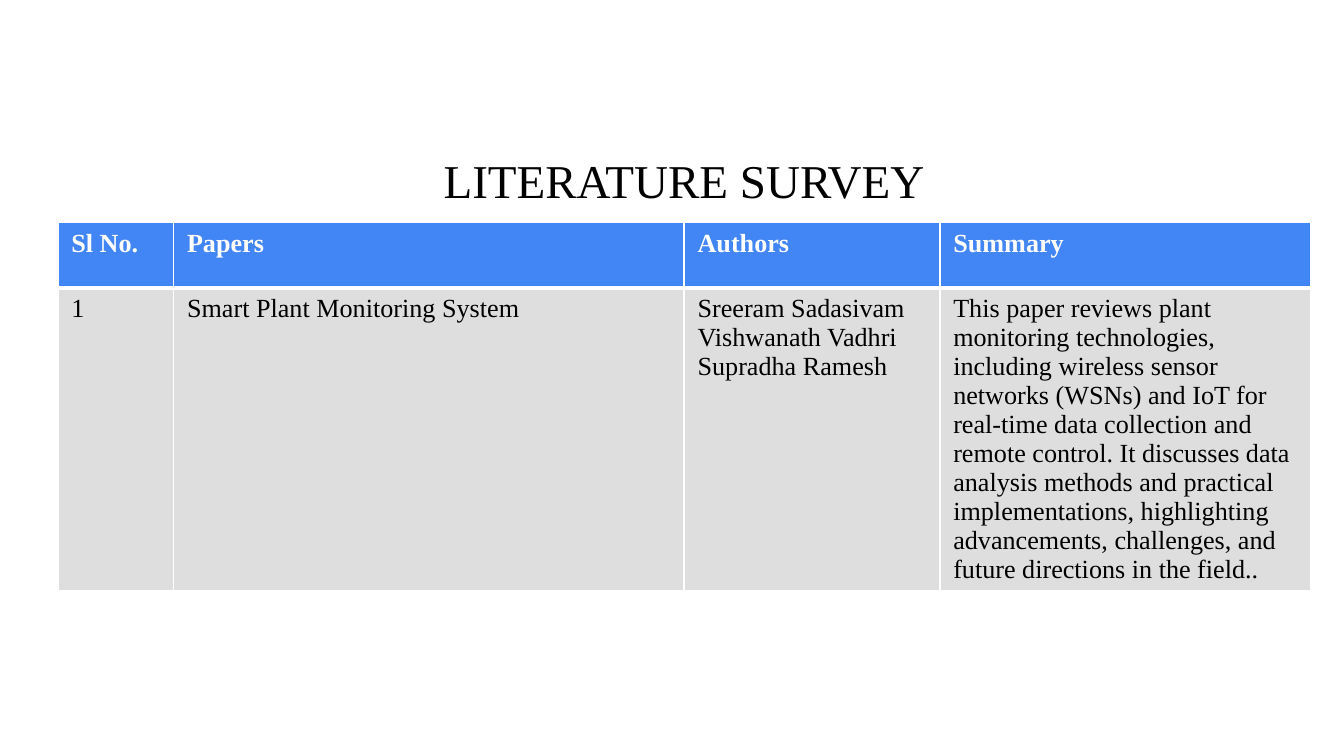
from lxml.etree import SubElement
from pptx import Presentation
from pptx.dml.color import RGBColor
from pptx.enum.text import MSO_ANCHOR, MSO_AUTO_SIZE, PP_ALIGN
from pptx.oxml.ns import qn
from pptx.util import Pt

COLORS = {"text": "000000", "white": "FFFFFF", "header": "4285F4", "body": "DEDEDE"}
LEFT, WIDTH = 31, 671
COLUMNS = [62, 273.5, 137, 198.5]
ROWS = [35.3, 161.5]
CELLS = [
    ["Sl No.", "Papers", "Authors", "Summary"],
    [
        "1",
        "Smart Plant Monitoring System",
        "Sreeram Sadasivam Vishwanath Vadhri\nSupradha Ramesh",
        "This paper reviews plant monitoring technologies, including wireless "
        "sensor networks (WSNs) and IoT for real-time data collection and remote "
        "control. It discusses data analysis methods and practical implementations, "
        "highlighting advancements, challenges, and future directions in the field..",
    ],
]


class SlideBuilder:
    """Holds the text style and the slide being filled."""

    def __init__(self, slide, font="Times New Roman"):
        self.s = slide
        self.font = font

    def format_text(self, tf, size, color, bold=False):
        for p in tf.paragraphs:
            for r in p.runs:
                r.font.name = self.font
                r.font.size = Pt(size)
                r.font.bold = bold
                r.font.color.rgb = RGBColor.from_string(COLORS[color])

    def title(self, text, top, height):
        sp = self.s.shapes.title
        sp.left, sp.top, sp.width, sp.height = map(Pt, (LEFT, top, WIDTH, height))
        tf = sp.text_frame
        tf.text = text
        tf.auto_size = MSO_AUTO_SIZE.NONE
        tf.vertical_anchor = MSO_ANCHOR.MIDDLE
        tf.margin_left = tf.margin_right = tf.margin_top = tf.margin_bottom = Pt(7.2)
        tf.paragraphs[0].alignment = PP_ALIGN.CENTER
        self.format_text(tf, 25.2, "text")

    def borders(self, cell, **widths):
        """Draw white borders; widths are in points, keyed by side L, R, T, B."""
        tcPr = cell._tc.get_or_add_tcPr()
        for side, width in widths.items():
            ln = SubElement(tcPr, qn(f"a:ln{side}"), w=str(Pt(width)))
            fill = SubElement(ln, qn("a:solidFill"))
            SubElement(fill, qn("a:srgbClr"), val=COLORS["white"])

    def table(self, cells, top):
        frame = self.s.shapes.add_table(
            len(ROWS), len(COLUMNS), Pt(LEFT), Pt(top), Pt(WIDTH), Pt(sum(ROWS)))
        table = frame.table
        for column, width in zip(table.columns, COLUMNS):
            column.width = Pt(width)
        for i, (row, height) in enumerate(zip(table.rows, ROWS)):
            row.height = Pt(height)
            header = i == 0
            for cell, text in zip(row.cells, cells[i]):
                cell.text_frame.text = text
                self.format_text(cell.text_frame, 14, "white" if header else "text", header)
                self.borders(cell, L=1, R=1, T=1 if header else 3, B=3 if header else 1)
                cell.fill.solid()
                cell.fill.fore_color.rgb = RGBColor.from_string(
                    COLORS["header" if header else "body"])


def main():
    prs = Presentation()
    prs.slide_width, prs.slide_height = Pt(720), Pt(405)
    builder = SlideBuilder(prs.slides.add_slide(prs.slide_layouts[5]))
    builder.title("LITERATURE SURVEY", top=73.5, height=45.4)
    builder.table(CELLS, top=119)
    prs.save("out.pptx")


if __name__ == "__main__":
    main()
